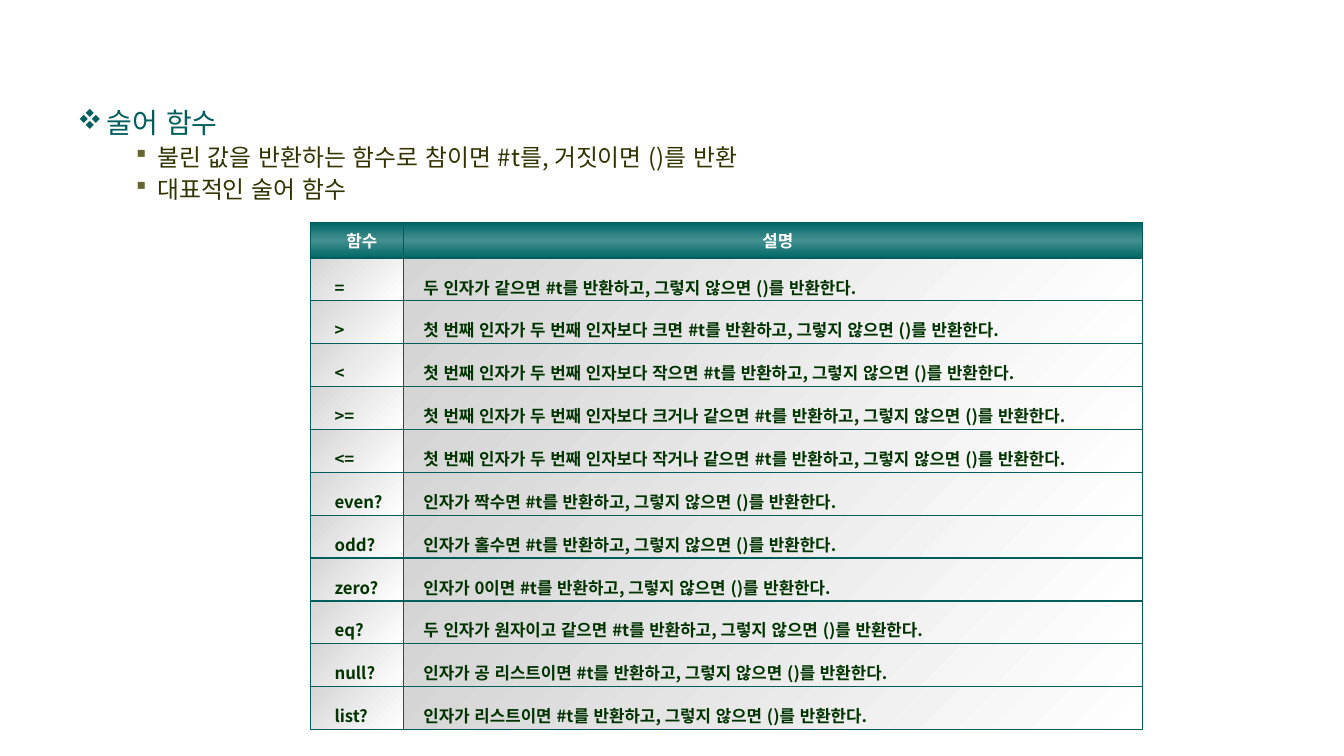
from lxml.etree import SubElement
from pptx import Presentation
from pptx.dml.color import RGBColor
from pptx.enum.lang import MSO_LANGUAGE_ID
from pptx.enum.text import MSO_ANCHOR, PP_ALIGN
from pptx.oxml.ns import qn
from pptx.util import Inches, Pt

FONT = "Noto Sans CJK KR"
BULLET_FONT = "Wingdings"
DIAMOND, SQUARE = "v", "§"
COLORS = {
    "teal": "005E5C", "olive": "666633", "dark_olive": "333300",
    "white": "FFFFFF", "dark_green": "003300",
    "header_edge": "006666", "header_middle": "459090", "body_start": "D5D5D5",
}
HEADER_GRADIENT = ["header_edge", "header_middle", "header_edge"]
BODY_GRADIENT = ["body_start", "white"]

COLUMN_WIDTHS = [0.92, 7.33]
HEADER_HEIGHT, BODY_HEIGHT = 0.35, 4.68
HEADINGS = ["함수", "설명"]
RESULT = "#t를 반환하고, 그렇지 않으면 ()를 반환한다."
PREDICATES = [
    ("=", "두 인자가 같으면"),
    (">", "첫 번째 인자가 두 번째 인자보다 크면"),
    ("<", "첫 번째 인자가 두 번째 인자보다 작으면"),
    (">=", "첫 번째 인자가 두 번째 인자보다 크거나 같으면"),
    ("<=", "첫 번째 인자가 두 번째 인자보다 작거나 같으면"),
    ("even?", "인자가 짝수면"),
    ("odd?", "인자가 홀수면"),
    ("zero?", "인자가 0이면"),
    ("eq?", "두 인자가 원자이고 같으면"),
    ("null?", "인자가 공 리스트이면"),
    ("list?", "인자가 리스트이면"),
]


def write_text(paragraph, text, size, color, bold=False, align=PP_ALIGN.LEFT,
               line_spacing=1.0, space_before=0):
    paragraph.alignment = align
    paragraph.line_spacing = line_spacing
    paragraph.space_before = Pt(space_before)
    run = paragraph.add_run()
    run.text = text
    run.font.size = Pt(size)
    run.font.bold = bold
    run.font.name = FONT
    run.font.language_id = MSO_LANGUAGE_ID.KOREAN
    run.font.color.rgb = RGBColor.from_string(COLORS[color])
    run.font._element.set("kern", "0")
    SubElement(run.font._element, qn("a:ea"), typeface=FONT)


def add_color(parent, color):
    SubElement(parent, qn("a:srgbClr"), val=COLORS[color])


def set_bullet(paragraph, symbol, color, left, hanging):
    properties = paragraph._p.get_or_add_pPr()
    properties.set("marL", str(Inches(left)))
    properties.set("indent", str(-Inches(hanging)))
    add_color(SubElement(properties, qn("a:buClr")), color)
    SubElement(properties, qn("a:buFont"), typeface=BULLET_FONT, charset="2")
    SubElement(properties, qn("a:buChar"), char=symbol)


def set_cell_borders(cell, color, width):
    properties = cell._tc.get_or_add_tcPr()
    for side in ("lnL", "lnR", "lnT", "lnB"):
        line = SubElement(properties, qn(f"a:{side}"), w=str(Pt(width)))
        add_color(SubElement(line, qn("a:solidFill")), color)


def set_cell_gradient(cell, colors, angle):
    """Spread the colors evenly along a clockwise angle in degrees."""
    gradient = SubElement(cell._tc.get_or_add_tcPr(), qn("a:gradFill"), rotWithShape="1")
    stops = SubElement(gradient, qn("a:gsLst"))
    for index, color in enumerate(colors):
        position = 100000 * index // (len(colors) - 1)
        add_color(SubElement(stops, qn("a:gs"), pos=str(position)), color)
    SubElement(gradient, qn("a:lin"), ang=str(angle * 60000), scaled="0")


def fill_cell(cell, text, insets, gradient, angle, **text_format):
    cell.vertical_anchor = MSO_ANCHOR.MIDDLE
    (cell.margin_left, cell.margin_top,
     cell.margin_right, cell.margin_bottom) = [Inches(inset) for inset in insets]
    write_text(cell.text_frame.paragraphs[0], text, size=12, bold=True, **text_format)
    set_cell_borders(cell, "teal", 1)
    set_cell_gradient(cell, gradient, angle)


def add_outline(slide):
    box = slide.shapes.add_textbox(Inches(0.67), Inches(1), Inches(12.22), Inches(6.08))
    frame = box.text_frame
    frame.word_wrap = True
    heading = frame.paragraphs[0]
    write_text(heading, "술어 함수", size=20, color="teal", space_before=3.5)
    set_bullet(heading, DIAMOND, "teal", 0.29, 0.29)
    for text in ("불린 값을 반환하는 함수로 참이면 #t를, 거짓이면 ()를 반환", "대표적인 술어 함수"):
        point = frame.add_paragraph()
        point.level = 1
        write_text(point, text, size=17, color="dark_olive", space_before=2.5)
        set_bullet(point, SQUARE, "olive", 0.79, 0.21)


def add_predicate_table(slide):
    table = slide.shapes.add_table(
        len(PREDICATES) + 1, len(COLUMN_WIDTHS), Inches(3.08), Inches(2.21),
        Inches(sum(COLUMN_WIDTHS)), Inches(HEADER_HEIGHT + BODY_HEIGHT)).table
    for column, width in zip(table.columns, COLUMN_WIDTHS):
        column.width = Inches(width)
    for row in table.rows:
        row.height = Inches(BODY_HEIGHT / len(PREDICATES))
    table.rows[0].height = Inches(HEADER_HEIGHT)

    for column, heading in enumerate(HEADINGS):
        fill_cell(table.cell(0, column), heading, (0.2, 0.05, 0.1, 0.05),
                  HEADER_GRADIENT, 90, color="white", align=PP_ALIGN.CENTER, space_before=1)
    for row, (name, condition) in enumerate(PREDICATES, start=1):
        for column, text in enumerate((f" {name}", f"{condition} {RESULT}")):
            fill_cell(table.cell(row, column), text, (0.2, 0.02, 0.02, 0.02),
                      BODY_GRADIENT, 45, color="dark_green", align=PP_ALIGN.JUSTIFY,
                      line_spacing=1.6)


def main():
    presentation = Presentation()
    presentation.slide_width = Inches(13.33)
    presentation.slide_height = Inches(7.5)
    slide = presentation.slides.add_slide(presentation.slide_layouts[6])
    add_outline(slide)
    add_predicate_table(slide)
    presentation.save("out.pptx")


if __name__ == "__main__":
    main()
